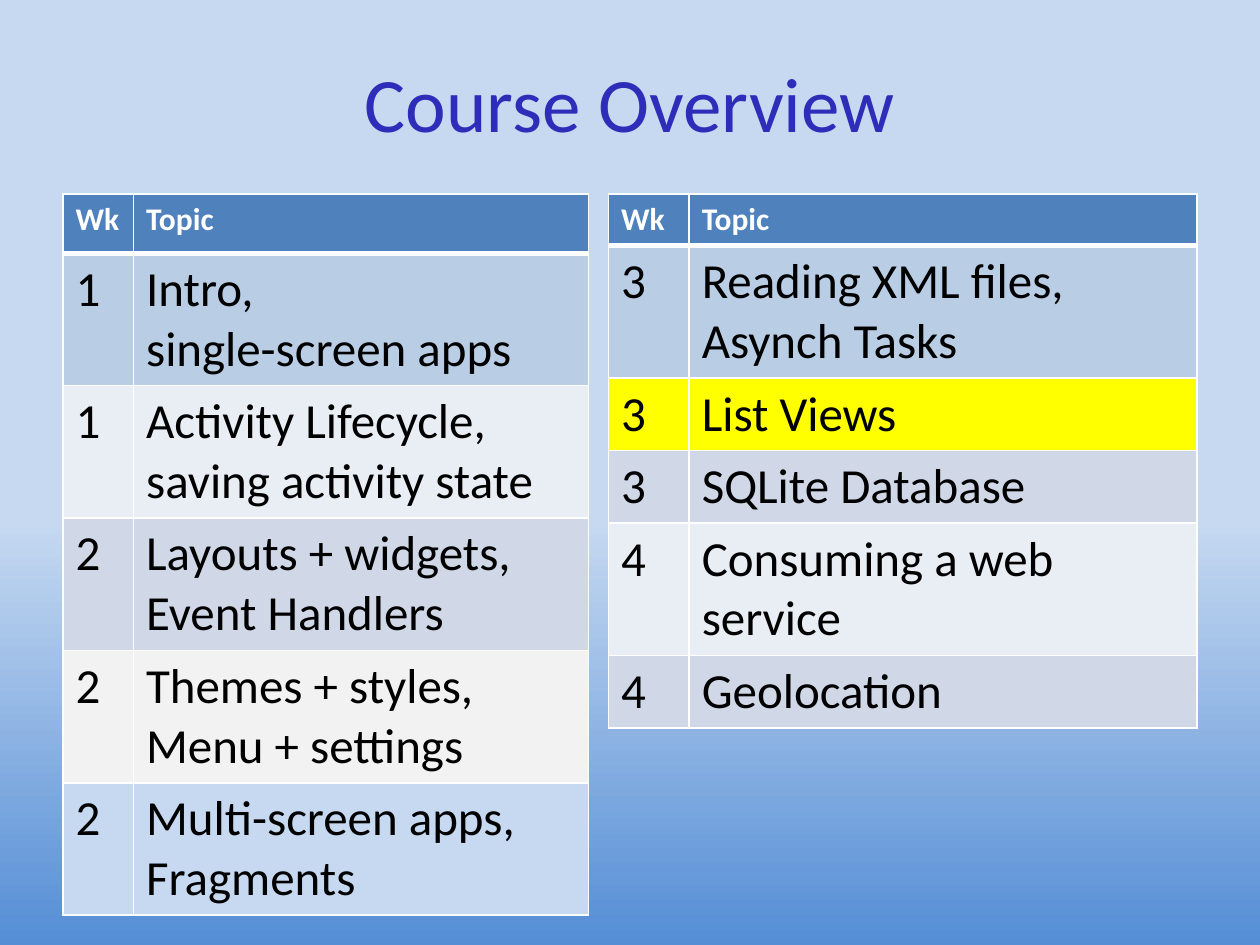
import pptx
import pptx.dml.color
import pptx.enum.text
import pptx.oxml
import pptx.oxml.ns
import pptx.util

Inches = pptx.util.Inches
Pt = pptx.util.Pt
FONT = "Calibri"
BREAK = "\n"

# Each row: week, topic paragraphs (each a list of runs), fill
LEFT = [
    ("1", [["Intro, ", BREAK, "single-screen apps"]], "B9CDE5"),
    ("1", [["Activity Lifecycle, saving activity state"]], "E9EDF4"),
    ("2", [["Layouts + widgets,"], ["Event Handlers"]], "D0D8E8"),
    ("2", [["Themes + styles,"], ["Menu + settings"]], "F2F2F2"),
    ("2", [["Multi-screen apps, Fragments"]], "C6D9F1"),
]
RIGHT = [
    ("3", [["Reading XML files,"], ["Asynch Tasks"]], "B9CDE5"),
    ("3", [["List Views"]], "FFFF00"),
    ("3", [["SQLite Database"]], "D0D8E8"),
    ("4", [["Consuming a web service"]], "E9EDF4"),
    ("4", [["Geolocation"]], "D0D8E8"),
]
ONE, TWO = 0.57, 1.05  # heights of rows with one and two lines


def color(code):
    return pptx.dml.color.RGBColor.from_string(code)


def write(para, runs, size, code, bold=False):
    for text in runs:
        if text == BREAK:
            para.add_line_break()
            continue
        run = para.add_run()
        run.text = text
        font = run.font
        font.name, font.size, font.bold = FONT, Pt(size), bold
        font.color.rgb = color(code)


def border(cell, top, bottom):
    """Draw white borders; top and bottom are widths in points."""
    props = cell._tc.get_or_add_tcPr()
    space = pptx.oxml.ns.nsdecls("a")
    for side, width in (("L", 1), ("R", 1), ("T", top), ("B", bottom)):
        props.append(pptx.oxml.parse_xml(
            f'<a:ln{side} {space} w="{Pt(width)}"><a:solidFill>'
            f'<a:srgbClr val="FFFFFF"/></a:solidFill></a:ln{side}>'))


def add_back(slide):
    fill = slide.background.fill
    fill.gradient()
    fill.gradient_angle = 270
    stops = zip(fill.gradient_stops, ((0.55, "C6D9F1"), (1, "558ED5")))
    for stop, (place, code) in stops:
        stop.position = place
        stop.color.rgb = color(code)


def add_title(slide, left, top, width, height):
    title = slide.shapes.title
    title.left, title.top = Inches(left), Inches(top)
    title.width, title.height = Inches(width), Inches(height)
    frame = title.text_frame
    frame.vertical_anchor = pptx.enum.text.MSO_ANCHOR.MIDDLE
    para = frame.paragraphs[0]
    para.alignment = pptx.enum.text.PP_ALIGN.CENTER
    write(para, ["Course Overview"], 44, "2D2DB9")


def add_weeks(slide, left, top, width, first, heights, rows):
    """Add a table of weeks and topics; first is the week column's width."""
    table = slide.shapes.add_table(
        len(heights), 2, Inches(left), Inches(top),
        Inches(width), Inches(sum(heights))).table
    for col, size in zip(table.columns, (first, width - first)):
        col.width = Inches(size)
    for row, height in zip(table.rows, heights):
        row.height = Inches(height)
    body = [("Wk", [["Topic"]], "4F81BD")] + rows
    for r, (week, topic, fill) in enumerate(body):
        head = r == 0
        style = (18, "FFFFFF", True) if head else (28, "000000", False)
        for c, paras in enumerate(([[week]], topic)):
            cell = table.cell(r, c)
            border(cell, 3 if r == 1 else 1, 3 if head else 1)
            cell.fill.solid()
            cell.fill.fore_color.rgb = color(fill)
            frame = cell.text_frame
            for i, runs in enumerate(paras):
                para = frame.add_paragraph() if i else frame.paragraphs[0]
                write(para, runs, *style)


def main():
    deck = pptx.Presentation()
    deck.slide_width, deck.slide_height = Inches(10), Inches(7.5)
    slide = deck.slides.add_slide(deck.slide_layouts[5])
    add_back(slide)
    add_title(slide, 0.5, 0.3, 9, 1.02)
    add_weeks(slide, 0.5, 1.54, 4.17, 0.56, [0.47] + [TWO] * 5, LEFT)
    add_weeks(slide, 4.83, 1.54, 4.67, 0.64,
              [0.41, TWO, ONE, ONE, TWO, ONE], RIGHT)
    deck.save("out.pptx")


if __name__ == "__main__":
    main()
